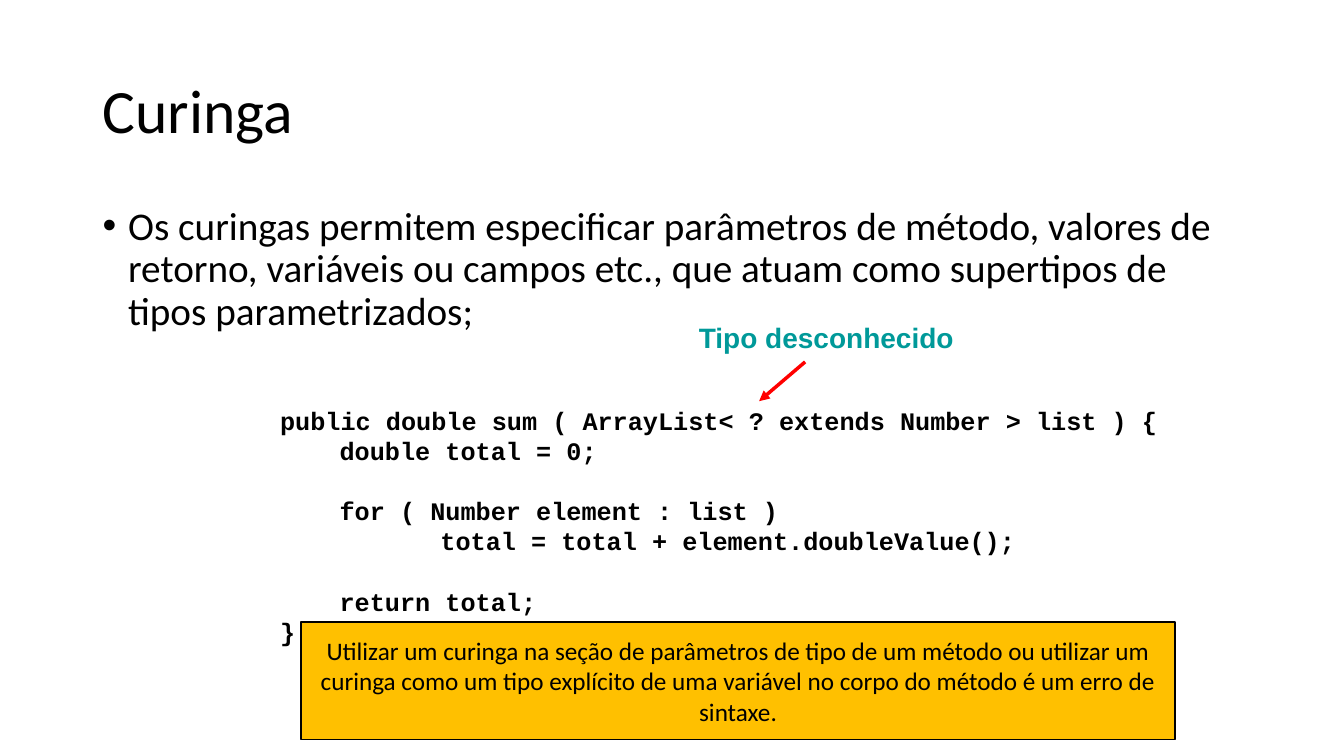
from lxml import etree
from pptx import Presentation
from pptx.dml.color import RGBColor
from pptx.enum.shapes import MSO_CONNECTOR, MSO_SHAPE
from pptx.enum.text import MSO_ANCHOR, PP_ALIGN
from pptx.oxml.ns import qn
from pptx.util import Cm, Pt

TOP, MIDDLE = MSO_ANCHOR.TOP, MSO_ANCHOR.MIDDLE
LEFT, CENTER = PP_ALIGN.LEFT, PP_ALIGN.CENTER
RECTANGLE, STRAIGHT = MSO_SHAPE.RECTANGLE, MSO_CONNECTOR.STRAIGHT


def color(hex_code):
    return RGBColor.from_string(hex_code)


def write(shape, text, font, size, anchor=TOP, align=LEFT,
          bold=False, hex_code="000000", wrap=True):
    """Fill a shape with text, one paragraph per line, and return its paragraphs."""
    frame = shape.text_frame
    frame.text = text
    frame.word_wrap = wrap
    frame.vertical_anchor = anchor
    for paragraph in frame.paragraphs:
        paragraph.alignment = align
        for run in paragraph.runs:
            run.font.name = font
            run.font.size = Pt(size)
            run.font.bold = bold
            run.font.color.rgb = color(hex_code)
    return frame.paragraphs


prs = Presentation()
prs.slide_width, prs.slide_height = Cm(33.87), Cm(19.05)
slide = prs.slides.add_slide(prs.slide_layouts[6])
shapes = slide.shapes

# Title
title = shapes.add_textbox(Cm(2.34), Cm(1.02), Cm(29.21), Cm(3.68))
write(title, "Curinga", "Calibri", 44, MIDDLE)[0].line_spacing = 0.9

# Bulleted explanation
explanation = shapes.add_textbox(Cm(2.34), Cm(5.08), Cm(29.21), Cm(12.09))
bullet = write(
    explanation,
    "Os curingas permitem especificar parâmetros de método, valores de retorno, "
    "variáveis ou campos etc., que atuam como supertipos de tipos parametrizados;",
    "Calibri", 28)[0]
bullet.line_spacing = 0.9
bullet.space_before = Pt(10)
bullet_props = bullet._p.get_or_add_pPr()
bullet_props.set("marL", str(Cm(0.64)))
bullet_props.set("indent", str(-Cm(0.64)))
etree.SubElement(bullet_props, qn("a:buFont")).set("typeface", "Arial")
etree.SubElement(bullet_props, qn("a:buChar")).set("char", "•")

# Code sample: text, indent in cm, whether a line is left free above
code_lines = [
    ("public double sum ( ArrayList< ? extends Number > list ) {", 0, False),
    ("double total = 0;", 1.5, False),
    ("for ( Number element : list )", 1.5, True),
    ("total = total + element.doubleValue();", 4.04, False),
    ("return total;", 1.5, True),
    ("}", 0, False),
]
code = shapes.add_textbox(Cm(6.81), Cm(10.08), Cm(22.63), Cm(7.19))
code_text = "\n".join(line for line, _, _ in code_lines)
code_paragraphs = write(code, code_text, "Courier New", 18, bold=True)
for paragraph, (_, indent, gap_above) in zip(code_paragraphs, code_lines):
    paragraph._p.get_or_add_pPr().set("marL", str(Cm(indent)))
    if gap_above:
        paragraph.space_before = Pt(21.5)

# Label and arrow pointing at the wildcard
label = shapes.add_textbox(Cm(17.32), Cm(7.95), Cm(7.01), Cm(1.12))
write(label, "Tipo desconhecido", "Arial", 20, MIDDLE, CENTER,
      bold=True, hex_code="009999", wrap=False)

arrow = shapes.add_connector(STRAIGHT, Cm(20.29), Cm(9.12), Cm(19.13), Cm(10.11))
arrow.line.color.rgb = color("FF0000")
arrow.line.width = Pt(2.5)
etree.SubElement(arrow.line._get_or_add_ln(), qn("a:tailEnd")).set("type", "triangle")
etree.SubElement(arrow._element.spPr, qn("a:effectLst"))

# Syntax error warning
warning = shapes.add_shape(RECTANGLE, Cm(7.59), Cm(15.67), Cm(22.02), Cm(2.97))
warning.shadow.inherit = False
warning.fill.solid()
warning.fill.fore_color.rgb = color("FFC000")
warning.line.color.rgb = color("000000")
warning.line.width = Pt(1)
write(
    warning,
    "Utilizar um curinga na seção de parâmetros de tipo de um método ou utilizar um "
    "curinga como um tipo explícito de uma variável no corpo do método é um erro de "
    "sintaxe.",
    "Calibri", 18, MIDDLE, CENTER)

prs.save("out.pptx")
